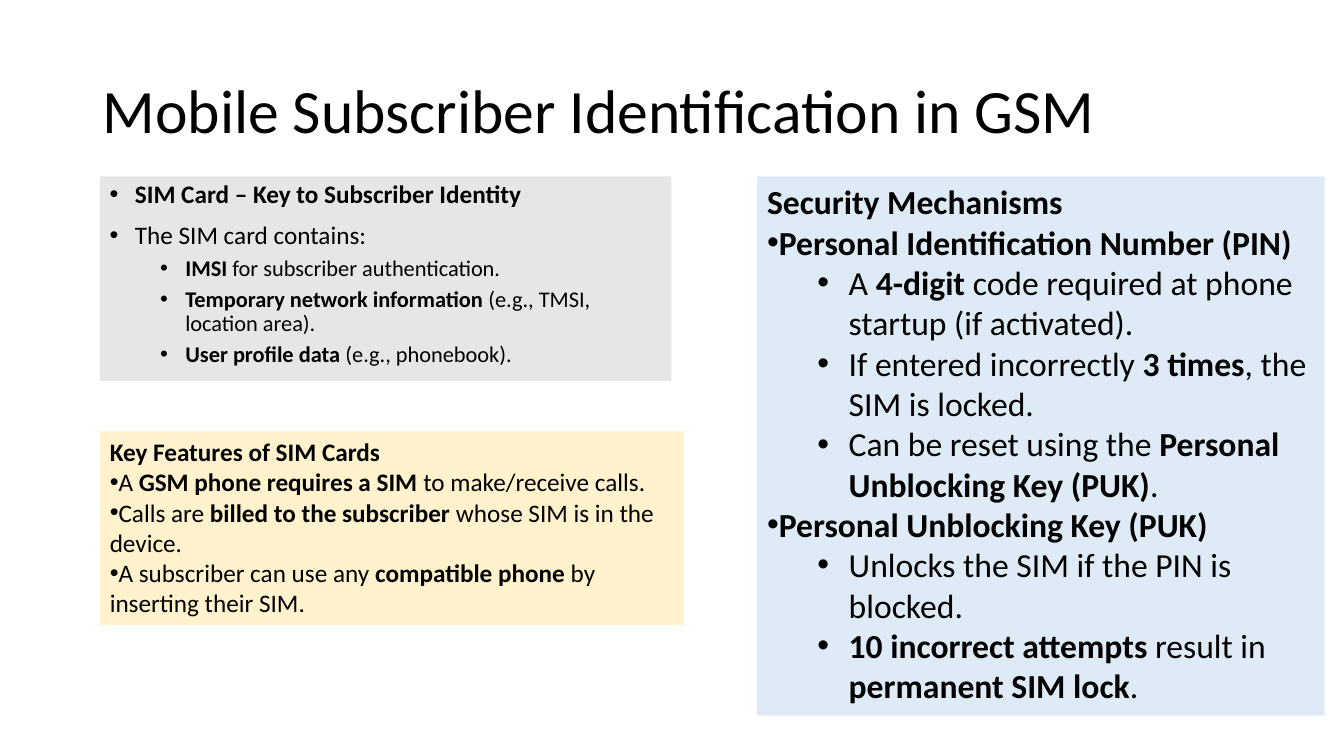
from lxml import etree
from pptx import Presentation
from pptx.dml.color import RGBColor
from pptx.enum.text import MSO_ANCHOR
from pptx.oxml.ns import qn
from pptx.util import Inches, Pt

FONT = "Calibri"
BLACK = RGBColor(0x00, 0x00, 0x00)
GREY = RGBColor(0xE7, 0xE6, 0xE6)
CREAM = RGBColor(0xFF, 0xF2, 0xCC)
PALE_BLUE = RGBColor(0xDE, 0xEB, 0xF7)

# Text between ** marks is bold.
TITLE = "Mobile Subscriber Identification in GSM"

# Paragraph styles: size, left margin, hanging indent, line spacing, space before, bullet
TITLE_STYLE = (44, 0, 0, 0.9, 0, False)
CARD_ITEM = (18, 0.25, 0.25, 0.9, 10, True)
CARD_DETAIL = (16, 0.75, 0.25, 0.9, 5, True)
FEATURE_HEADING = (18, 0, 0, 1.0, 0, False)
FEATURE_ITEM = (18, 0, 0, 1.0, 0, True)
SECURITY_HEADING = (24, 0, 0, 1.0, 0, False)
SECURITY_ITEM = (24, 0, 0, 1.0, 0, True)
SECURITY_DETAIL = (24, 0.81, 0.31, 1.0, 0, True)

SIM_CARD = [
    (CARD_ITEM, "**SIM Card – Key to Subscriber Identity**"),
    (CARD_ITEM, "The SIM card contains:"),
    (CARD_DETAIL, "**IMSI** for subscriber authentication."),
    (CARD_DETAIL, "**Temporary network information** (e.g., TMSI, location area)."),
    (CARD_DETAIL, "**User profile data** (e.g., phonebook)."),
]
KEY_FEATURES = [
    (FEATURE_HEADING, "**Key Features of SIM Cards**"),
    (FEATURE_ITEM, "A **GSM phone requires a SIM** to make/receive calls."),
    (FEATURE_ITEM, "Calls are **billed to the subscriber** whose SIM is in the device."),
    (FEATURE_ITEM, "A subscriber can use any **compatible phone** by inserting their SIM."),
]
SECURITY = [
    (SECURITY_HEADING, "**Security Mechanisms**"),
    (SECURITY_ITEM, "**Personal Identification Number (PIN)**"),
    (SECURITY_DETAIL, "A **4-digit** code required at phone startup (if activated)."),
    (SECURITY_DETAIL, "If entered incorrectly **3 times**, the SIM is locked."),
    (SECURITY_DETAIL, "Can be reset using the **Personal Unblocking Key (PUK)**."),
    (SECURITY_ITEM, "**Personal Unblocking Key (PUK)**"),
    (SECURITY_DETAIL, "Unlocks the SIM if the PIN is blocked."),
    (SECURITY_DETAIL, "**10 incorrect attempts** result in **permanent SIM lock**."),
]

LEFT, TOP = 0.99, 1.75
# Left, top, width, height; fill; anchor; paragraphs
BLOCKS = [
    ((0.92, 0.4, 11.5, 1.45), None, MSO_ANCHOR.MIDDLE, [(TITLE_STYLE, TITLE)]),
    ((LEFT, TOP, 5.67, 2.03), GREY, MSO_ANCHOR.TOP, SIM_CARD),
    ((LEFT, 4.28, 5.79, 1.92), CREAM, MSO_ANCHOR.TOP, KEY_FEATURES),
    ((7.51, TOP, 5.63, 5.35), PALE_BLUE, MSO_ANCHOR.TOP, SECURITY),
]


def set_bullet(paragraph, margin, hanging):
    properties = paragraph._p.get_or_add_pPr()
    properties.set("marL", str(Inches(margin)))
    properties.set("indent", str(-Inches(hanging)))
    etree.SubElement(properties, qn("a:buFont")).set("typeface", "Arial")
    etree.SubElement(properties, qn("a:buChar")).set("char", "•")


def write_paragraph(paragraph, style, text):
    size, margin, hanging, line_spacing, space_before, bulleted = style
    paragraph.line_spacing = line_spacing
    paragraph.space_before = Pt(space_before)
    if bulleted:
        set_bullet(paragraph, margin, hanging)
    if margin > 0.5:
        paragraph.level = 1
    for index, part in enumerate(text.split("**")):
        if part:
            run = paragraph.add_run()
            run.text = part
            run.font.name = FONT
            run.font.size = Pt(size)
            run.font.bold = index % 2 == 1
            run.font.color.rgb = BLACK


def add_block(slide, place, fill, anchor, paragraphs):
    block = slide.shapes.add_textbox(*map(Inches, place))
    if fill is not None:
        block.fill.solid()
        block.fill.fore_color.rgb = fill
    frame = block.text_frame
    frame.word_wrap = True
    frame.vertical_anchor = anchor
    for index, (style, text) in enumerate(paragraphs):
        paragraph = frame.add_paragraph() if index else frame.paragraphs[0]
        write_paragraph(paragraph, style, text)


def main():
    deck = Presentation()
    deck.slide_width, deck.slide_height = Inches(13.33), Inches(7.5)
    slide = deck.slides.add_slide(deck.slide_layouts[6])
    for block in BLOCKS:
        add_block(slide, *block)
    deck.save("out.pptx")


if __name__ == "__main__":
    main()
